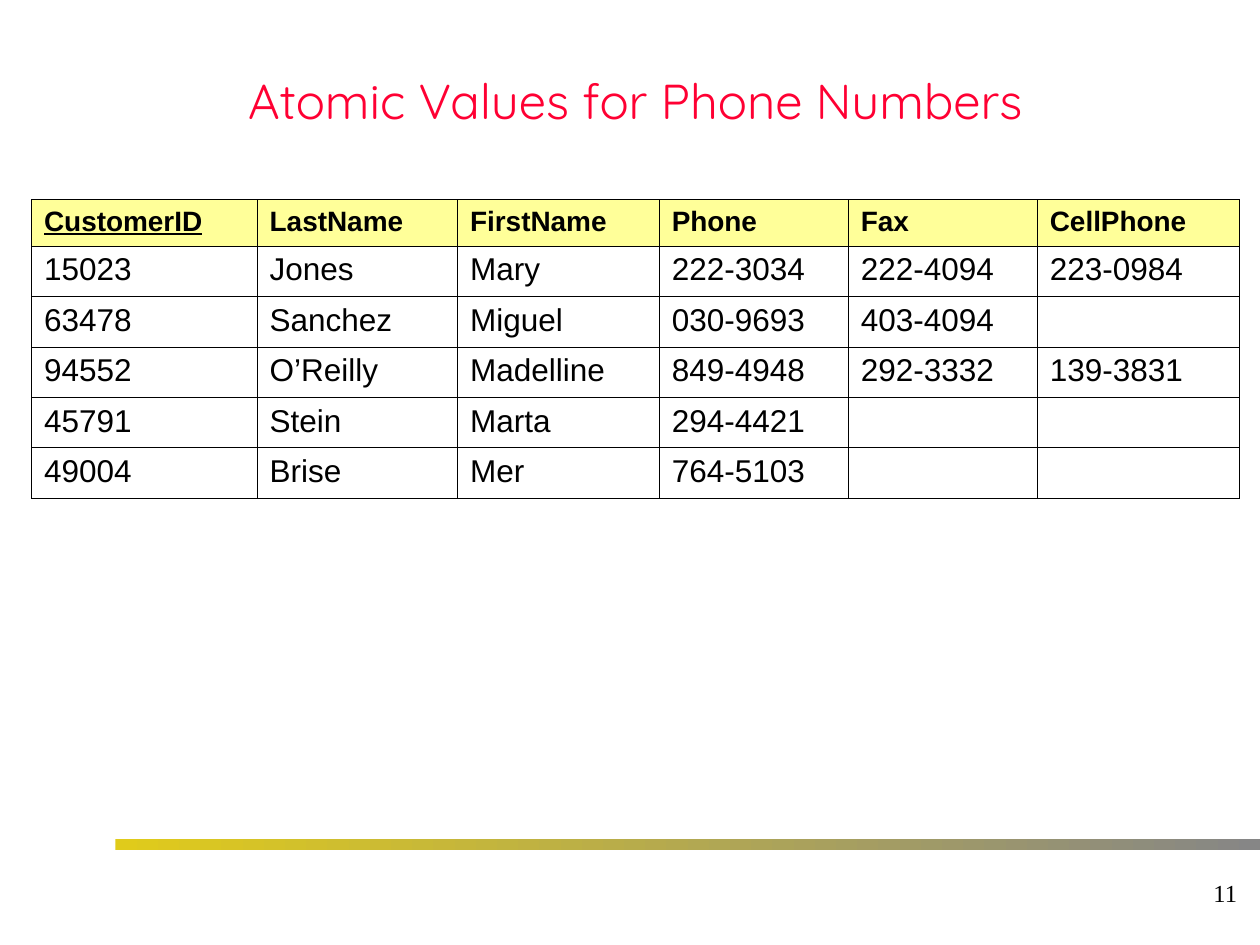
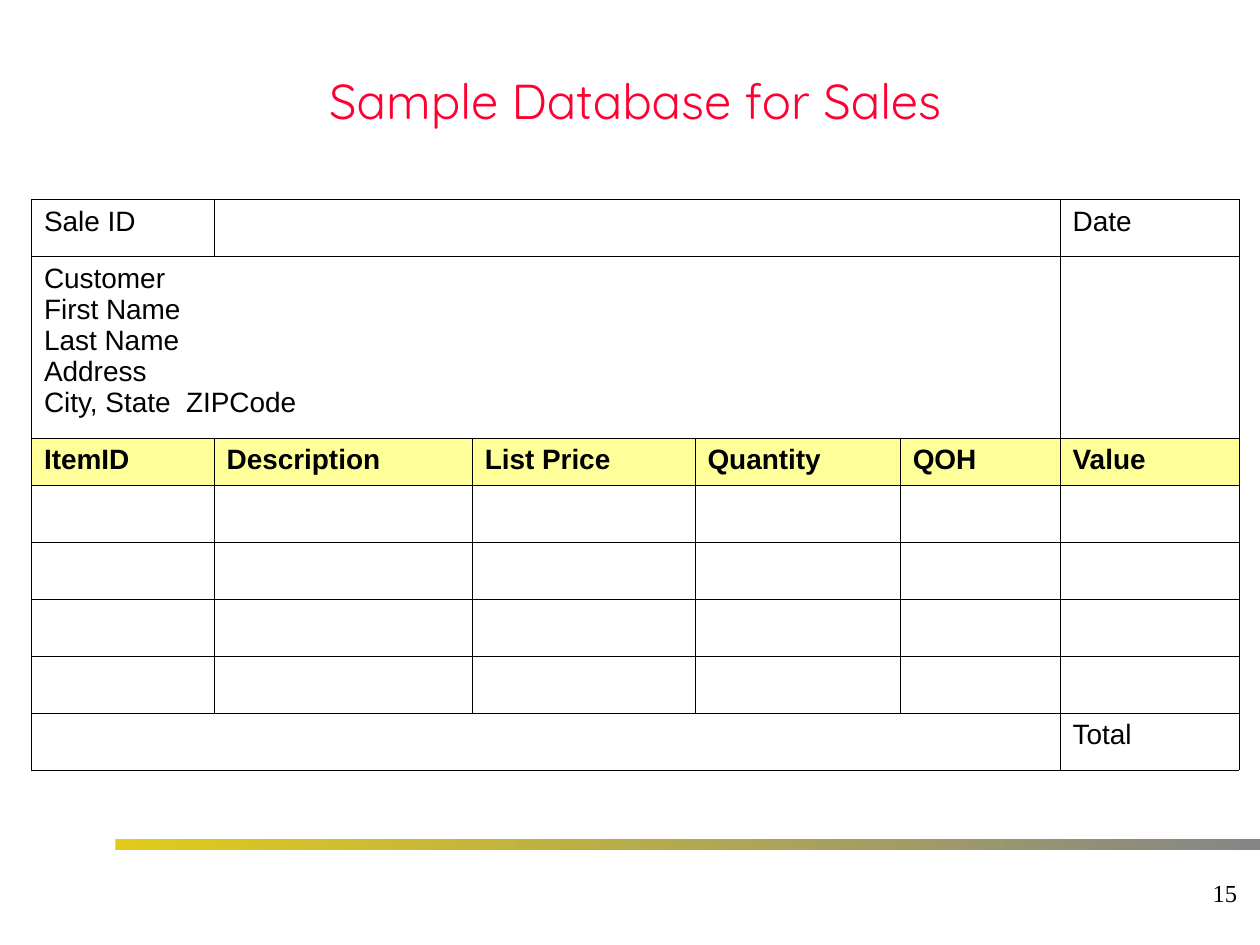
"""Build two database slides: atomic phone numbers and a blank sales form."""
import pptx
import pptx.util
import pptx.dml.color
import pptx.enum.shapes
import pptx.enum.text
import pptx.oxml.ns
import lxml.etree

RGB = pptx.dml.color.RGBColor
RED = RGB(0xFF, 0x00, 0x33)
BLACK = RGB(0x00, 0x00, 0x00)
PALE = RGB(0xFF, 0xFF, 0x99)
GOLD = RGB(0xE0, 0xCB, 0x1B)
GRAY = RGB(0x86, 0x86, 0x86)
ALIGN = pptx.enum.text.PP_ALIGN
MIDDLE = pptx.enum.text.MSO_ANCHOR.MIDDLE

UNIT = pptx.util.Inches(10) // 120
TITLE = (3, 2, 115, 15)
BAND = (11, 79.92, 109, 1.04)
FOOT = (94, 82, 25, 6)
LEFT, TOP, WIDE = 3, 19, 115

SLIDES = [
    {
        "title": "Atomic Values for Phone Numbers", "page": "11",
        "high": 28.4, "size": 18, "head": 0, "key": "CustomerID",
        "cols": [1.79, 1.59, 1.6, 1.5, 1.5, 1.6],
        "rows": [0.37] + [0.4] * 5,
        "cells": [
            ["CustomerID", "LastName", "FirstName", "Phone", "Fax", "CellPhone"],
            ["15023", "Jones", "Mary", "222-3034", "222-4094", "223-0984"],
            ["63478", "Sanchez", "Miguel", "030-9693", "403-4094", ""],
            ["94552", "O’Reilly", "Madelline", "849-4948", "292-3332", "139-3831"],
            ["45791", "Stein", "Marta", "294-4421", "", ""],
            ["49004", "Brise", "Mer", "764-5103", "", ""],
        ],
        "spans": [],
    },
    {
        "title": "Sample Database for Sales", "page": "15",
        "high": 54.36, "size": 16, "head": 2, "key": None,
        "cols": [1.45, 2.05, 1.77, 1.63, 1.27, 1.42],
        "rows": [0.45, 1.43, 0.37] + [0.45] * 5,
        "cells": [
            ["Sale ID", "", "", "", "", "Date"],
            ["Customer\nFirst Name\nLast Name\nAddress\nCity, State  ZIPCode"] + [""] * 5,
            ["ItemID", "Description", "List Price", "Quantity", "QOH", "Value"],
            *[[""] * 6 for _ in range(4)],
            [""] * 5 + ["Total"],
        ],
        "spans": [(0, 1, 4), (1, 0, 4), (7, 0, 4)],
    },
]


def place(box):
    return [round(part * UNIT) for part in box]


def write(frame, text, font="Arial", size=16, color=BLACK, bold=False,
          under=False, align=ALIGN.LEFT):
    for num, line in enumerate(text.split("\n")):
        para = frame.add_paragraph() if num else frame.paragraphs[0]
        para.alignment = align
        if line:
            run = para.add_run()
            run.text = line
            run.font.name = font
            run.font.size = pptx.util.Pt(size)
            run.font.color.rgb = color
            run.font.bold = bold
            run.font.underline = under


def label(slide, box, text, **style):
    frame = slide.shapes.add_textbox(*place(box)).text_frame
    frame.word_wrap = True
    frame.vertical_anchor = MIDDLE
    write(frame, text, **style)


def band(slide):
    bar = slide.shapes.add_shape(
        pptx.enum.shapes.MSO_SHAPE.RECTANGLE, *place(BAND))
    bar.shadow.inherit = False
    bar.line.fill.background()
    bar.fill.gradient()
    bar.fill.gradient_angle = 0
    for stop, color in zip(bar.fill.gradient_stops, (GOLD, GRAY)):
        stop.color.rgb = color


def border(cell):
    qn = pptx.oxml.ns.qn
    props = cell._tc.get_or_add_tcPr()
    for side in "LRTB":
        line = lxml.etree.SubElement(
            props, qn("a:ln" + side), w=str(pptx.util.Pt(0.45)))
        fill = lxml.etree.SubElement(line, qn("a:solidFill"))
        lxml.etree.SubElement(fill, qn("a:srgbClr"), val=str(BLACK))


def share(tracks, sizes, total):
    for num, size in enumerate(sizes):
        part = round(total * UNIT * size / sum(sizes))
        if hasattr(tracks[num], "width"):
            tracks[num].width = part
        else:
            tracks[num].height = part


def grid(slide, data):
    rows, cols = data["rows"], data["cols"]
    table = slide.shapes.add_table(
        len(rows), len(cols), *place((LEFT, TOP, WIDE, data["high"]))).table
    table.first_row = table.horz_banding = False
    share(table.columns, cols, WIDE)
    share(table.rows, rows, data["high"])
    for row, first, last in data["spans"]:
        table.cell(row, first).merge(table.cell(row, last))
    for row, line in enumerate(data["cells"]):
        head = row == data["head"]
        for col, text in enumerate(line):
            cell = table.cell(row, col)
            border(cell)
            if head:
                cell.fill.solid()
                cell.fill.fore_color.rgb = PALE
            else:
                cell.fill.background()
            write(cell.text_frame, text, size=16 if head else data["size"],
                  bold=head, under=text == data["key"])


def main():
    deck = pptx.Presentation()
    deck.slide_width, deck.slide_height = 120 * UNIT, 90 * UNIT
    for data in SLIDES:
        slide = deck.slides.add_slide(deck.slide_layouts[6])
        band(slide)
        label(slide, FOOT, data["page"], font="Times New Roman", size=14,
              align=ALIGN.RIGHT)
        label(slide, TITLE, data["title"], font="Quicksand", size=28,
              color=RED, align=ALIGN.CENTER)
        grid(slide, data)
    deck.save("out.pptx")


if __name__ == "__main__":
    main()
